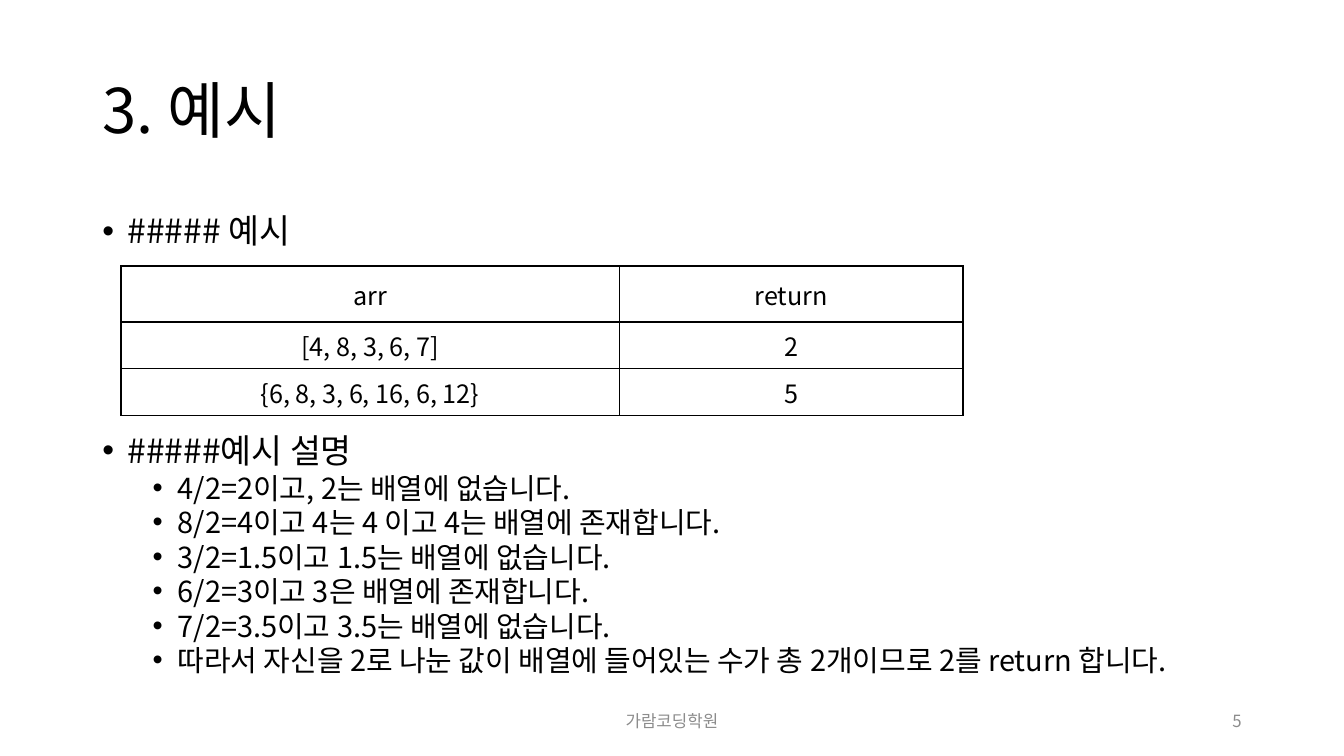
"""Build the example slide: a table of inputs and results, with an explanation."""
from lxml import etree
from pptx import Presentation
from pptx import util as u
from pptx.dml.color import RGBColor
from pptx.enum import text
from pptx.oxml import ns

FONT = "Noto Sans CJK KR"
BLACK = RGBColor(0x00, 0x00, 0x00)
GRAY = RGBColor(0x8C, 0x8C, 0x8C)
WHITE = RGBColor(0xFF, 0xFF, 0xFF)
LEFT, CENTER, RIGHT = text.PP_ALIGN.LEFT, text.PP_ALIGN.CENTER, text.PP_ALIGN.RIGHT
MIDDLE, TOP = text.MSO_ANCHOR.MIDDLE, text.MSO_ANCHOR.TOP

TITLE = "3. 예시"
EXAMPLE_HEADING = "##### 예시"
EXPLANATION_HEADING = "#####예시 설명"
EXPLANATIONS = [
    "4/2=2이고, 2는 배열에 없습니다.",
    "8/2=4이고 4는 4 이고 4는 배열에 존재합니다.",
    "3/2=1.5이고 1.5는 배열에 없습니다.",
    "6/2=3이고 3은 배열에 존재합니다.",
    "7/2=3.5이고 3.5는 배열에 없습니다.",
    "따라서 자신을 2로 나눈 값이 배열에 들어있는 수가 총 2개이므로 2를 return 합니다.",
]
EXAMPLES = [
    ("arr", "return"),
    ("[4, 8, 3, 6, 7]", "2"),
    ("{6, 8, 3, 6, 16, 6, 12}", "5"),
]
FOOTER = "가람코딩학원"
PAGE_NUMBER = "5"

MARGIN, CONTENT_WIDTH = 66, 828
COLUMN_WIDTHS = (356, 245.5)
ROW_HEIGHTS = (40, 33.5, 33.5)
HEADING = {"size": 24, "indent": 18}
EXPLANATION = {"size": 20.7, "indent": 54, "spacing": 0.8, "before": 4.8}


def write(frame, words, size, color=BLACK, align=LEFT, spacing=1.0, before=0, indent=None):
    """Write one paragraph, bulleted when an indent is given."""
    paragraph = frame.paragraphs[0]
    if paragraph.runs:
        paragraph = frame.add_paragraph()
    paragraph.alignment = align
    paragraph.line_spacing = spacing
    paragraph.space_before = u.Pt(before)
    if indent is not None:
        properties = paragraph._p.get_or_add_pPr()
        properties.set("marL", str(u.Pt(indent)))
        properties.set("indent", str(u.Pt(-18)))
        etree.SubElement(properties, ns.qn("a:buFont")).set("typeface", "Arial")
        etree.SubElement(properties, ns.qn("a:buChar")).set("char", "•")
    run = paragraph.add_run()
    run.text = words
    run.font.size = u.Pt(size)
    run.font.bold = False
    run.font.color.rgb = color
    run.font.name = FONT
    etree.SubElement(run._r.get_or_add_rPr(), ns.qn("a:ea")).set("typeface", FONT)


def add_box(slide, left, top, width, height, anchor=MIDDLE):
    """Add a wrapping text box and return its text frame."""
    frame = slide.shapes.add_textbox(*map(u.Pt, (left, top, width, height))).text_frame
    frame.word_wrap = True
    frame.vertical_anchor = anchor
    return frame


def add_borders(cell):
    """Draw a thin black line on each side of a cell."""
    properties = cell._tc.get_or_add_tcPr()
    for position, side in enumerate(("lnL", "lnR", "lnT", "lnB")):
        line = etree.Element(ns.qn(f"a:{side}"), w=str(u.Pt(0.95)))
        fill = etree.SubElement(line, ns.qn("a:solidFill"))
        etree.SubElement(fill, ns.qn("a:srgbClr")).set("val", str(BLACK))
        properties.insert(position, line)


def add_example_table(slide):
    """Add the table of arrays and return values."""
    table = slide.shapes.add_table(
        len(EXAMPLES), len(COLUMN_WIDTHS), u.Pt(86.4), u.Pt(190),
        u.Pt(sum(COLUMN_WIDTHS)), u.Pt(sum(ROW_HEIGHTS))).table
    table.first_row = table.horz_banding = False
    for column, width in zip(table.columns, COLUMN_WIDTHS):
        column.width = u.Pt(width)
    for row, height, values in zip(table.rows, ROW_HEIGHTS, EXAMPLES):
        row.height = u.Pt(height)
        for cell, value in zip(row.cells, values):
            cell.fill.solid()
            cell.fill.fore_color.rgb = WHITE
            cell.vertical_anchor = MIDDLE
            add_borders(cell)
            write(cell.text_frame, value, size=18, align=CENTER)


def main():
    """Build and save the presentation."""
    presentation = Presentation()
    presentation.slide_width, presentation.slide_height = u.Pt(960), u.Pt(540)
    slide = presentation.slides.add_slide(presentation.slide_layouts[6])

    write(add_box(slide, MARGIN, 28.8, CONTENT_WIDTH, 104.4), TITLE, size=44, spacing=0.9)
    write(add_box(slide, MARGIN, 146.7, CONTENT_WIDTH, 42, TOP), EXAMPLE_HEADING, **HEADING)
    add_example_table(slide)

    explanation = add_box(slide, MARGIN, 309.2, CONTENT_WIDTH, 190, TOP)
    write(explanation, EXPLANATION_HEADING, spacing=0.8, **HEADING)
    for sentence in EXPLANATIONS:
        write(explanation, sentence, **EXPLANATION)

    write(add_box(slide, 318, 500.4, 324, 28.8), FOOTER, size=12, color=GRAY, align=CENTER)
    write(add_box(slide, 678, 500.4, 216, 28.8), PAGE_NUMBER, size=12, color=GRAY, align=RIGHT)
    presentation.save("out.pptx")


if __name__ == "__main__":
    main()
